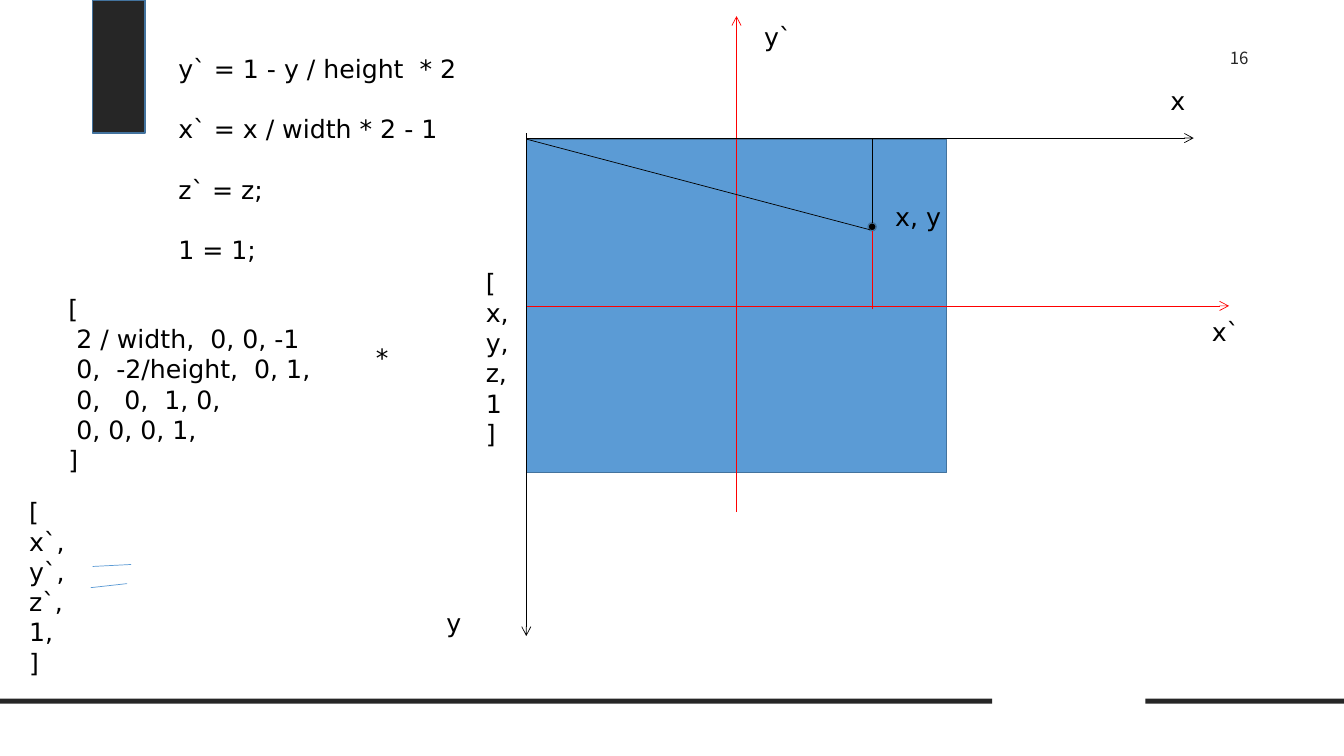
from lxml.etree import SubElement
from pptx import Presentation
from pptx.dml.color import RGBColor
from pptx.enum.shapes import MSO_CONNECTOR, MSO_SHAPE
from pptx.enum.text import PP_ALIGN
from pptx.oxml.ns import qn
from pptx.util import Inches, Pt

BLACK = RGBColor(0x00, 0x00, 0x00)
CHARCOAL = RGBColor(0x26, 0x26, 0x26)
RED = RGBColor(0xFF, 0x00, 0x00)
BLUE = RGBColor(0x5B, 0x9B, 0xD5)
EDGE = RGBColor(0x43, 0x73, 0x9E)

WIDTH, HEIGHT = 13.33, 7.5
ROW = 0.3       # one line of text
MARGIN = 0.05   # space above and below the text of a box

deck = Presentation()
deck.slide_width, deck.slide_height = Inches(WIDTH), Inches(HEIGHT)
slide = deck.slides.add_slide(deck.slide_layouts[6])


def add_block(kind, left, top, width, height, fill, edge=None):
    block = slide.shapes.add_shape(
        kind, Inches(left), Inches(top), Inches(width), Inches(height))
    block.shadow.inherit = False
    block.fill.solid()
    block.fill.fore_color.rgb = fill
    if edge is None:
        block.line.fill.background()
    else:
        block.line.color.rgb = edge
        block.line.width = Pt(1)
    return block


def add_line(start, end, color, arrow=False):
    line = slide.shapes.add_connector(
        MSO_CONNECTOR.STRAIGHT, *[Inches(v) for v in (*start, *end)])
    line.line.color.rgb = color
    line.line.width = Pt(0.5)
    if arrow:
        SubElement(line.line._get_or_add_ln(), qn("a:tailEnd"), type="arrow")
    SubElement(line._element.spPr, qn("a:effectLst"))
    return line


# Frame: top tab and the two footer rules
add_block(MSO_SHAPE.RECTANGLE, 0.92, 0, 0.52, 1.32, CHARCOAL, EDGE)
for rule_left, rule_right in [(0, 9.84), (11.36, WIDTH)]:
    add_block(MSO_SHAPE.RECTANGLE, rule_left, 6.93,
              rule_right - rule_left, 0.05, CHARCOAL)

# Canvas with both coordinate systems
left, top, width, height = 5.22, 1.38, 4.17, 3.31
center_x, center_y = left + width / 2, top + height / 2
canvas = add_block(MSO_SHAPE.RECTANGLE, left, top, width, height, BLUE, EDGE)
clip_x_axis = add_line((left, center_y), (12.19, center_y), RED, arrow=True)
clip_x_axis.begin_connect(canvas, 1)
add_line((center_x, 5.08), (center_x, 0.16), RED, arrow=True)
add_line((left, 1.32), (left, 6.31), BLACK, arrow=True)
add_line((left, 1.37), (11.84, 1.37), BLACK, arrow=True)

# Point with its distances to the axes
point_x, point_y, radius = 8.65, 2.25, 0.04
add_block(MSO_SHAPE.OVAL, point_x - radius, point_y - radius,
          2 * radius, 2 * radius, BLACK, EDGE)
add_line((point_x, top), (point_x, point_y - radius), BLACK)
add_line((point_x, point_y + radius), (point_x, center_y + 0.03), RED)
add_line((8.63, 2.28), (left, top), BLACK)

# Hand-drawn equals sign
add_line((0.92, 5.62), (1.3, 5.6), BLUE)
add_line((0.9, 5.83), (1.26, 5.79), BLUE)

# Labels, equations and matrices: left, top, width, space before, lines
texts = [
    (8.78, 1.95, 1.94, 0, ["x, y"]),
    (11.51, 0.8, 1.46, 0, ["x"]),
    (4.33, 5.98, 2.2, 0, ["y"]),
    (11.92, 3.09, 0.95, 0, ["x`"]),
    (7.48, 0.16, 0.83, 0, ["y`"]),
    (1.67, 0.48, 3.25, ROW, ["y` = 1 - y / height  * 2",
                             "x` = x / width * 2 - 1", "z` = z;", "1 = 1;"]),
    (4.72, 2.6, 1.8, 0, ["[", "x,", "y,", "z,", "1", "]"]),
    (0.19, 4.87, 0.71, 0, ["[", "x`,", "y`,", "z`,", "1,", "]"]),
    (3.63, 3.35, 0.61, 0, ["*"]),
    (0.58, 2.86, 3.35, 0, ["[", " 2 / width,  0, 0, -1",
                           " 0,  -2/height,  0, 1,", " 0,   0,  1, 0,",
                           " 0, 0, 0, 1,", "]"]),
]
for text_left, text_top, text_width, gap, lines in texts:
    text_height = len(lines) * ROW + (len(lines) - 1) * gap + 2 * MARGIN
    frame = slide.shapes.add_textbox(
        Inches(text_left), Inches(text_top),
        Inches(text_width), Inches(text_height)).text_frame
    frame.word_wrap = True
    for index, line_text in enumerate(lines):
        paragraph = frame.add_paragraph() if index else frame.paragraphs[0]
        if index and gap:
            paragraph.space_before = Inches(gap)
        run = paragraph.add_run()
        run.text = line_text
        run.font.name = "DejaVu Sans"
        run.font.size = Pt(18)
        run.font.color.rgb = BLACK

# Slide number
number_frame = slide.shapes.add_textbox(
    Inches(11.84), Inches(0.37), Inches(0.9), Inches(0.44)).text_frame
number_frame.word_wrap = True
number_frame.margin_top = number_frame.margin_bottom = Inches(0.1)
number_frame.paragraphs[0].alignment = PP_ALIGN.CENTER
number = number_frame.paragraphs[0].add_run()
number.text = "16"
number.font.name = "Noto Sans CJK SC"
number.font.size = Pt(12)
number.font.color.rgb = CHARCOAL

deck.save("out.pptx")
